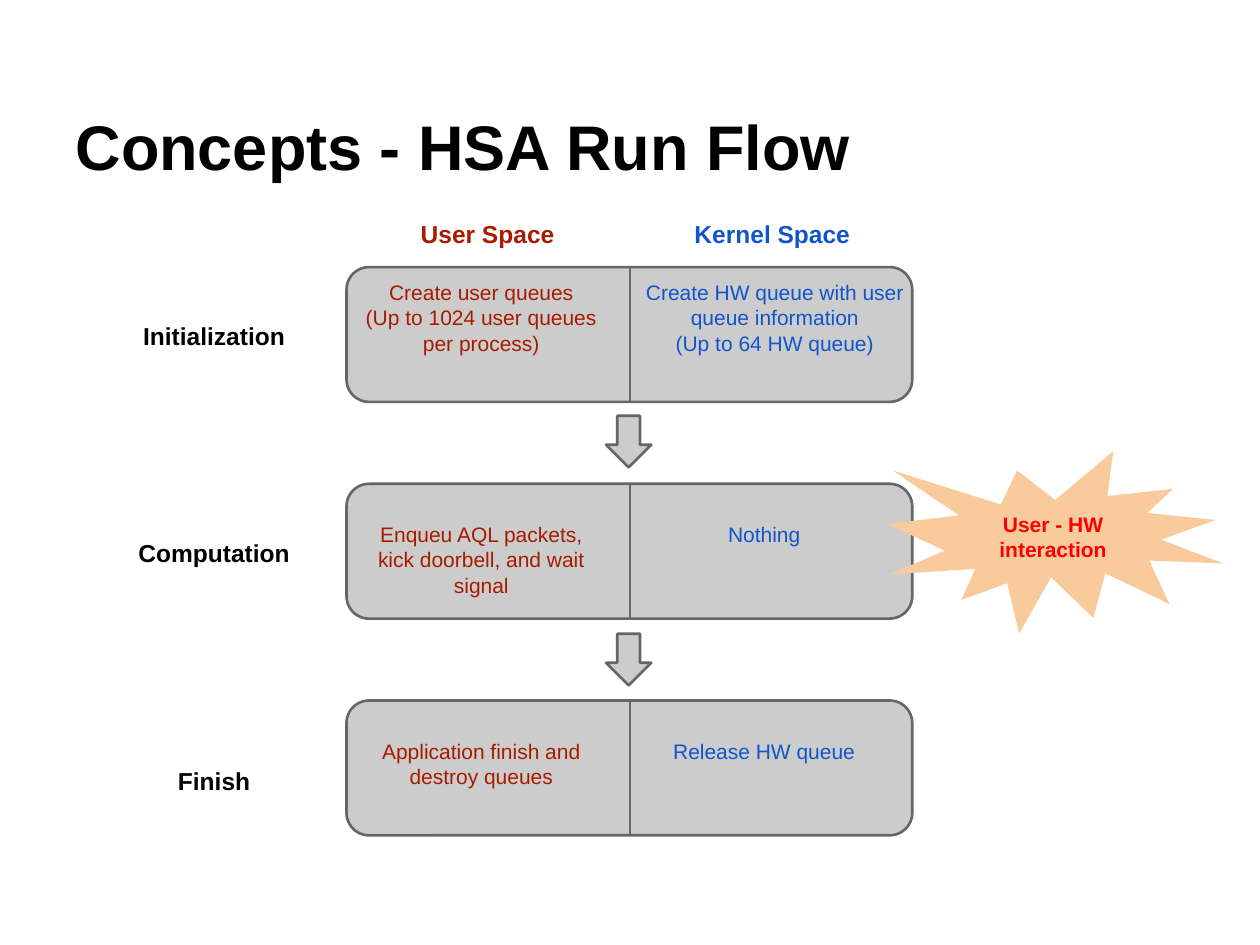
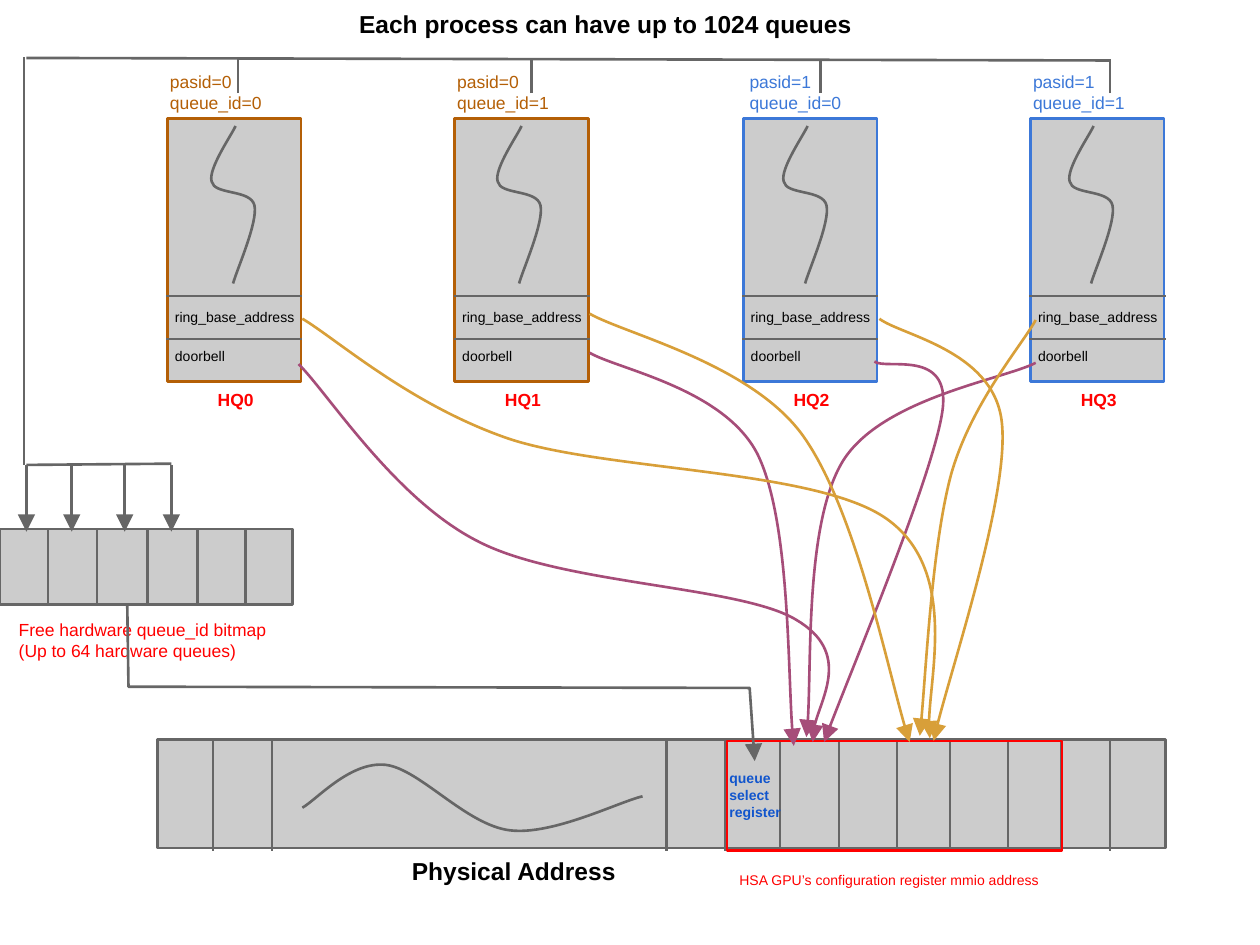
from pptx import Presentation
from pptx.dml.color import RGBColor
from pptx.enum.shapes import MSO_CONNECTOR, MSO_SHAPE
from pptx.enum.text import MSO_ANCHOR, MSO_AUTO_SIZE, PP_ALIGN
from pptx.oxml.ns import qn
from pptx.oxml.xmlchemy import OxmlElement
from pptx.util import Pt

RECT = MSO_SHAPE.RECTANGLE
ROUNDED = MSO_SHAPE.ROUNDED_RECTANGLE
DOWN_ARROW = MSO_SHAPE.DOWN_ARROW
BURST = MSO_SHAPE.EXPLOSION1
STRAIGHT = MSO_CONNECTOR.STRAIGHT
LEFT, CENTER = PP_ALIGN.LEFT, PP_ALIGN.CENTER
TOP, MIDDLE, BOTTOM = MSO_ANCHOR.TOP, MSO_ANCHOR.MIDDLE, MSO_ANCHOR.BOTTOM

EMU_PER_PX = 9144  # 100 px to the inch
TITLE_ONLY = 5
FONT = "Arial"
INSET = 10
LINE_PT = 1.5

BLACK = "000000"
RED = "FF0000"
GRAY_FILL = "CCCCCC"
GRAY_LINE = "666666"
USER_RED = "A61C00"
KERNEL_BLUE = "1155CC"
PEACH = "F9CB9C"
PROCESS_0 = "B45F06"
PROCESS_1 = "3C78D8"
DOORBELL = "A64D79"
RING_BASE = "D89F39"

# stage, label top, box top, text drop, user text, kernel text, kernel width
STAGES = [
    ("Initialization", 245, 212, 0,
     "Create user queues\n(Up to 1024 user queues per process)",
     "Create HW queue with user queue information\n(Up to 64 HW queue)", 236),
    ("Computation", 417, 384, 20,
     "Enqueu AQL packets, kick doorbell, and wait signal", "Nothing", 219),
    ("Finish", 598, 556, 20,
     "Application finish and destroy queues", "Release HW queue", 219),
]

# pasid, queue_id, colour, label left, feeder x
QUEUES = [
    (0, 0, PROCESS_0, 125, 189),
    (0, 1, PROCESS_0, 353, 422),
    (1, 0, PROCESS_1, 585, 651),
    (1, 1, PROCESS_1, 810, 881),
]

REGISTER_EDGES = [169, 216, 529, 576, 619, 666, 712, 754, 800, 842, 881]
BITMAP_EDGES = [38, 77, 117, 157, 195]
BITMAP_ARROWS = [21, 57, 99, 136]

# Each curve: start point, then two control points and an end point per segment
MEMORY_WAVE = [(240, 641), (251, 635), (278, 604), (306, 607),
               (333, 610), (370, 655), (405, 659),
               (439, 663), (492, 636), (510, 632)]
QUEUE_SQUIGGLE = [(187, 100), (184, 107), (165, 134), (168, 144),
                  (170, 155), (199, 150), (202, 163),
                  (205, 176), (188, 214), (185, 225)]
DOORBELL_CURVES = [
    [(237, 289), (261, 313), (314, 397), (380, 430),
     (446, 464), (588, 465), (632, 492), (676, 518), (642, 572), (645, 589)],
    [(468, 280), (490, 293), (574, 308), (601, 360),
     (627, 412), (625, 553), (630, 592)],
    [(694, 287), (703, 294), (755, 276), (748, 326),
     (741, 376), (670, 545), (654, 589)],
    [(822, 288), (797, 301), (700, 316), (669, 366),
     (639, 415), (645, 549), (640, 585)],
]
RING_BASE_CURVES = [
    [(240, 253), (267, 269), (325, 321), (403, 348),
     (480, 374), (648, 372), (704, 412), (760, 452), (733, 557), (738, 586)],
    [(468, 249), (496, 265), (594, 288), (636, 344),
     (678, 401), (708, 548), (722, 589)],
    [(698, 253), (715, 266), (788, 278), (795, 334),
     (802, 389), (750, 545), (741, 588)],
    [(822, 254), (811, 274), (771, 320), (755, 376),
     (740, 431), (734, 549), (730, 584)],
]
SELECT_ROUTE = [(101, 479), (102, 545), (595, 546), (599, 604)]


def px(n):
    return n * EMU_PER_PX


def rgb(hex_color):
    return RGBColor.from_string(hex_color)


def write(sp, text, size=12, color=BLACK, bold=False, align=LEFT, anchor=TOP):
    """Fill a shape with one paragraph for each line of text."""
    tf = sp.text_frame
    tf.word_wrap = True
    tf.auto_size = MSO_AUTO_SIZE.NONE
    tf.vertical_anchor = anchor
    tf.margin_left = tf.margin_right = px(INSET)
    tf.margin_top = tf.margin_bottom = px(INSET)
    tf.text = text
    for p in tf.paragraphs:
        p.alignment = align
        p.font.name = FONT
        p.font.size = Pt(size)
        p.font.bold = bold
        p.font.color.rgb = rgb(color)


def add_label(s, x, y, w, h, text, **fmt):
    write(s.shapes.add_textbox(px(x), px(y), px(w), px(h)), text, **fmt)


def add_title_slide(prs, text, x, y, w, h, **fmt):
    s = prs.slides.add_slide(prs.slide_layouts[TITLE_ONLY])
    sp = s.shapes.title
    sp.left, sp.top, sp.width, sp.height = px(x), px(y), px(w), px(h)
    write(sp, text, bold=True, **fmt)
    return s


def paint(sp, fill, line):
    sp.shadow.inherit = False
    if fill:
        sp.fill.solid()
        sp.fill.fore_color.rgb = rgb(fill)
    else:
        sp.fill.background()
    if line:
        sp.line.color.rgb = rgb(line)
        sp.line.width = Pt(LINE_PT)
    else:
        sp.line.fill.background()


def add_box(s, kind, x, y, w, h, fill=GRAY_FILL, line=GRAY_LINE):
    sp = s.shapes.add_shape(kind, px(x), px(y), px(w), px(h))
    paint(sp, fill, line)
    return sp


def add_arrowhead(sp):
    tail = OxmlElement("a:tailEnd")
    for key, value in (("type", "triangle"), ("w", "lg"), ("len", "lg")):
        tail.set(key, value)
    sp.line._get_or_add_ln().append(tail)


def add_line(s, x1, y1, x2, y2, arrow=False):
    c = s.shapes.add_connector(STRAIGHT, px(x1), px(y1), px(x2), px(y2))
    c.line.color.rgb = rgb(GRAY_LINE)
    c.line.width = Pt(LINE_PT)
    c._element.spPr.append(OxmlElement("a:effectLst"))
    if arrow:
        add_arrowhead(c)


def add_outline(s, points, color=GRAY_LINE, arrow=False):
    (x, y), *rest = [(px(a), px(b)) for a, b in points]
    builder = s.shapes.build_freeform(x, y)
    builder.add_line_segments(rest, close=False)
    sp = builder.convert_to_shape()
    paint(sp, None, color)
    if arrow:
        add_arrowhead(sp)
    return sp


def add_curve(s, points, **fmt):
    """Turn every three straight segments of an outline into one Bezier."""
    sp = add_outline(s, points, **fmt)
    segments = list(sp._element.iter(qn("a:lnTo")))
    for i in range(0, len(segments), 3):
        bezier = OxmlElement("a:cubicBezTo")
        segments[i].addprevious(bezier)
        for segment in segments[i:i + 3]:
            bezier.append(segment[0])
            segment.getparent().remove(segment)


def add_stage(s, name, label_y, y, drop, user, kernel, kernel_w):
    add_box(s, ROUNDED, 275, y, 449, 107)
    columns = ((278, 208, user, USER_RED), (497, kernel_w, kernel, KERNEL_BLUE))
    for x, w, text, color in columns:
        add_label(s, x, y + drop, w, 125 - drop, text, color=color, align=CENTER)
    add_line(s, 500, y + 107, 500, y)
    add_label(s, 57, label_y, 226, 41, name, size=14, bold=True, align=CENTER)


def add_queue(s, i, pasid, queue_id, color, label_x, feeder_x):
    x = round(133 + i * 685 / 3)
    add_box(s, RECT, x, 94, 106, 209, line=color)
    for y in (269, 235):
        add_line(s, x - 1, y, x + 107, y)
    add_label(s, x - 4, 266, 108, 37, "doorbell", size=8)
    add_label(s, x - 4, 235, 127, 37, "ring_base_address", size=8)
    add_label(s, label_x, 46, 131, 58, f"pasid={pasid}\nqueue_id={queue_id}",
              size=10, color=color)
    add_label(s, x, 299, 108, 58, f"HQ{i}", size=10, color=RED, bold=True,
              align=CENTER)
    add_curve(s, [(a + 227 * i, b) for a, b in QUEUE_SQUIGGLE])
    add_line(s, feeder_x, 74, feeder_x, 47)


def add_physical_memory(s):
    add_box(s, RECT, 125, 587, 800, 86)
    for x in REGISTER_EDGES:
        add_line(s, x, 588, x, 675)
    add_curve(s, MEMORY_WAVE)
    add_box(s, RECT, 577, 588, 266, 87, fill=None, line=RED)
    add_label(s, 577, 682, 266, 30,
              "HSA GPU’s configuration register mmio address", size=8, color=RED)
    add_label(s, 569, 601, 80, 71, "queue select register", size=8,
              color=KERNEL_BLUE, bold=True)
    add_label(s, 317, 669, 248, 37, "Physical Address", size=14, bold=True)


def add_bitmap(s):
    add_box(s, RECT, 0, 420, 232, 60)
    for x in BITMAP_EDGES:
        add_line(s, x, 421, x, 481)
    add_label(s, 5, 481, 218, 53,
              "Free hardware queue_id bitmap\n(Up to 64 hardware queues)",
              size=10, color=RED)
    add_line(s, 21, 46, 881, 48)
    add_line(s, 19, 369, 19, 45)
    add_line(s, 21, 369, 136, 368)
    for x in BITMAP_ARROWS:
        add_line(s, x, 369, x, 422, arrow=True)


def build_run_flow(prs):
    s = add_title_slide(prs, "Concepts - HSA Run Flow", 50, 30, 900, 125,
                        size=36, anchor=BOTTOM)
    for stage in STAGES:
        add_stage(s, *stage)
    for y in (330, 503):
        add_box(s, DOWN_ARROW, 481, y, 36, 41)
    headings = ((274, "User Space", USER_RED), (500, "Kernel Space", KERNEL_BLUE))
    for x, text, color in headings:
        add_label(s, x, 164, 226, 41, text, size=14, color=color, bold=True,
                  align=CENTER)
    burst = add_box(s, BURST, 704, 358, 267, 145, fill=PEACH, line=None)
    write(burst, "User - HW interaction", color=RED, bold=True, align=CENTER,
          anchor=MIDDLE)


def build_queue_map(prs):
    s = add_title_slide(prs, "Each process can have up to 1024 queues",
                        275, -3, 446, 37, size=14)
    add_physical_memory(s)
    add_bitmap(s)
    for i, queue in enumerate(QUEUES):
        add_queue(s, i, *queue)
    for curves, color in ((DOORBELL_CURVES, DOORBELL), (RING_BASE_CURVES, RING_BASE)):
        for points in curves:
            add_curve(s, points, color=color, arrow=True)
    add_outline(s, SELECT_ROUTE, arrow=True)


def main():
    prs = Presentation()
    prs.slide_width, prs.slide_height = px(1000), px(750)
    build_run_flow(prs)
    build_queue_map(prs)
    prs.save("out.pptx")


if __name__ == "__main__":
    main()
